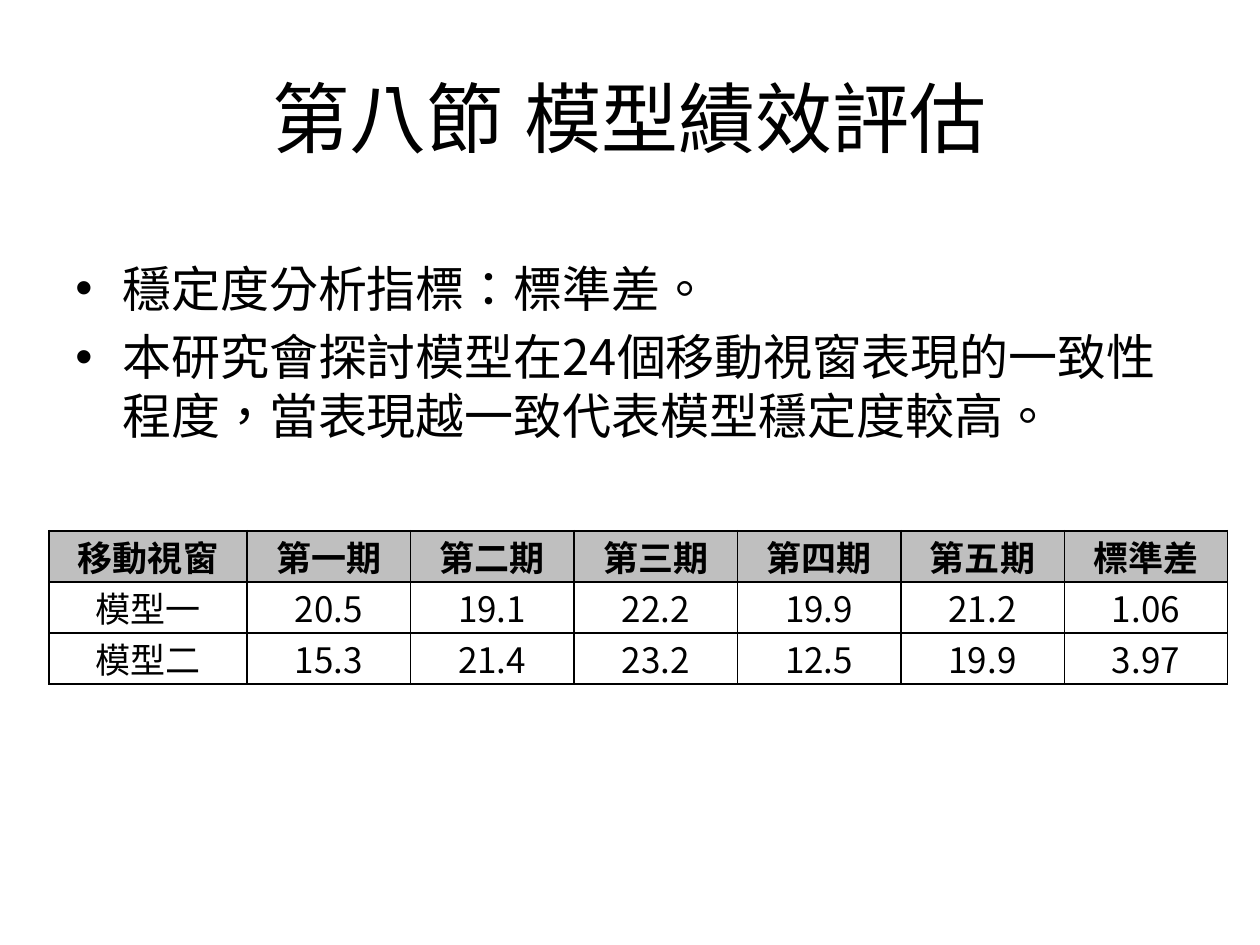
from dataclasses import dataclass

from pptx import Presentation, util as u
from pptx.dml.color import RGBColor
from pptx.enum import text
from pptx.oxml.ns import qn
from lxml import etree

EMU_PER_PX = 914400 / 126


@dataclass(frozen=True)
class Theme:
    ink: str = "000000"
    paper: str = "FFFFFF"
    header: str = "BFBFBF"
    cjk: str = "Noto Sans CJK SC"
    latin: str = "Calibri"
    title_size: int = 44
    body_size: int = 28
    table_size: int = 20
    thin: float = 1
    thick: float = 1.5


THEME = Theme()
TITLE = "第八節\t模型績效評估"
POINTS = [
    "穩定度分析指標：標準差。",
    "本研究會探討模型在24個移動視窗表現的一致性程度，當表現越一致代表模型穩定度較高。",
]
SCORES = [
    ["移動視窗", "第一期", "第二期", "第三期", "第四期", "第五期", "標準差"],
    ["模型一", "20.5", "19.1", "22.2", "19.9", "21.2", "1.06"],
    ["模型二", "15.3", "21.4", "23.2", "12.5", "19.9", "3.97"],
]


def px(length):
    return u.Emu(round(length * EMU_PER_PX))


def set_values(target, values):
    for name, value in values.items():
        setattr(target, name, value)


def add_span(para, words, size, font=THEME.cjk, bold=False):
    span = para.add_run()
    span.text = words
    set_values(span.font, {"size": u.Pt(size), "name": font, "bold": bold})
    span.font.color.rgb = RGBColor.from_string(THEME.ink)
    # East Asian face and Traditional Chinese glyph forms
    props = span.font._element
    props.set("lang", "zh-TW")
    face = etree.Element(qn("a:ea"), typeface=THEME.cjk)
    props.find(qn("a:latin")).addnext(face)


def add_title(page):
    title = page.shapes.title
    set_values(title, {"left": px(63), "top": px(38),
                       "width": px(1134), "height": px(157)})
    set_values(title.text_frame, {
        "word_wrap": True,
        "auto_size": text.MSO_AUTO_SIZE.NONE,
        "vertical_anchor": text.MSO_ANCHOR.MIDDLE,
    })
    para = title.text_frame.paragraphs[0]
    para.alignment = text.PP_ALIGN.CENTER
    add_span(para, TITLE, THEME.title_size)


def add_bullet(para, indent):
    props = para._p.get_or_add_pPr()
    props.set("marL", str(indent))
    props.set("indent", str(-indent))
    etree.SubElement(props, qn("a:buFont"), typeface="Arial")
    etree.SubElement(props, qn("a:buChar"), char="•")


def add_points(page):
    box = page.shapes.add_textbox(px(63), px(252), px(1134), px(624))
    frame = box.text_frame
    frame.word_wrap = True
    for index, words in enumerate(POINTS):
        para = frame.add_paragraph() if index else frame.paragraphs[0]
        add_bullet(para, px(47))
        if index:
            para.space_before = u.Pt(THEME.body_size * 0.2)
        add_span(para, words, THEME.body_size)


def add_borders(cell, widths):
    props = cell._tc.get_or_add_tcPr()
    for index, (side, width) in enumerate(widths.items()):
        line = etree.Element(qn(f"a:{side}"), w=str(u.Pt(width)))
        fill = etree.SubElement(line, qn("a:solidFill"))
        etree.SubElement(fill, qn("a:srgbClr"), val=THEME.ink)
        props.insert(index, line)


def format_cell(cell, words, row, column):
    is_header = row == 0
    set_values(cell, {
        "margin_left": px(16), "margin_right": px(16),
        "margin_top": 0, "margin_bottom": 0,
        "vertical_anchor": text.MSO_ANCHOR.MIDDLE,
    })
    cell.fill.solid()
    cell.fill.fore_color.rgb = RGBColor.from_string(
        THEME.header if is_header else THEME.paper)
    add_borders(cell, {
        "lnL": THEME.thin,
        "lnR": THEME.thin,
        "lnT": THEME.thick if row < 2 else THEME.thin,
        "lnB": THEME.thick if is_header else THEME.thin,
    })
    para = cell.text_frame.paragraphs[0]
    para.alignment = text.PP_ALIGN.CENTER
    font = THEME.latin if is_header or column == 0 else THEME.cjk
    add_span(para, words, THEME.table_size, font, is_header)


def add_scores(page):
    label_width, total_width, row_height = px(198), px(1179), px(51)
    rows, columns = len(SCORES), len(SCORES[0])
    table = page.shapes.add_table(rows, columns, px(49), px(531),
                                  total_width, rows * row_height).table
    set_values(table, {"first_row": False, "horz_banding": False})
    period_width = (total_width - label_width) // (columns - 1)
    for index, column in enumerate(table.columns):
        column.width = period_width if index else label_width
    for row, entries in enumerate(SCORES):
        for column, words in enumerate(entries):
            format_cell(table.cell(row, column), words, row, column)


def main():
    deck = Presentation()
    set_values(deck, {"slide_width": px(1260), "slide_height": px(945)})
    page = deck.slides.add_slide(deck.slide_layouts[5])
    add_title(page)
    add_points(page)
    add_scores(page)
    deck.save("out.pptx")


if __name__ == "__main__":
    main()
